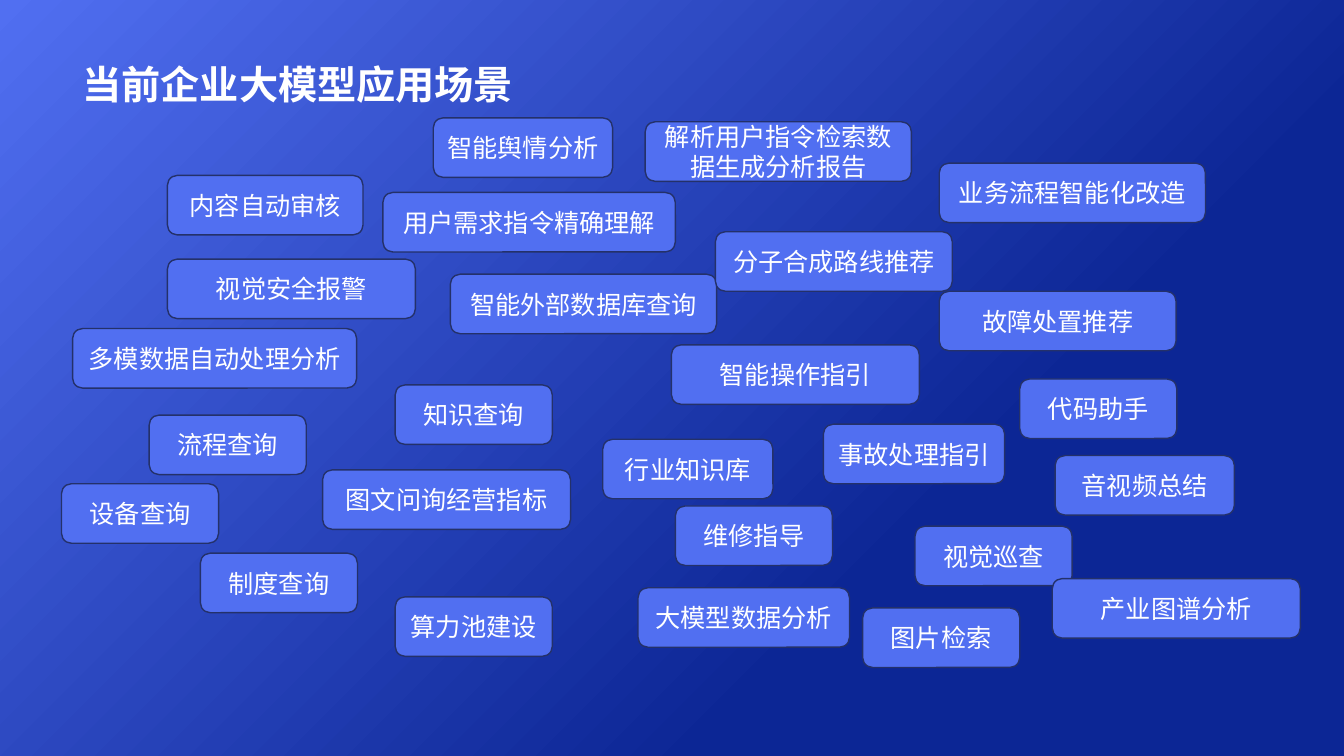
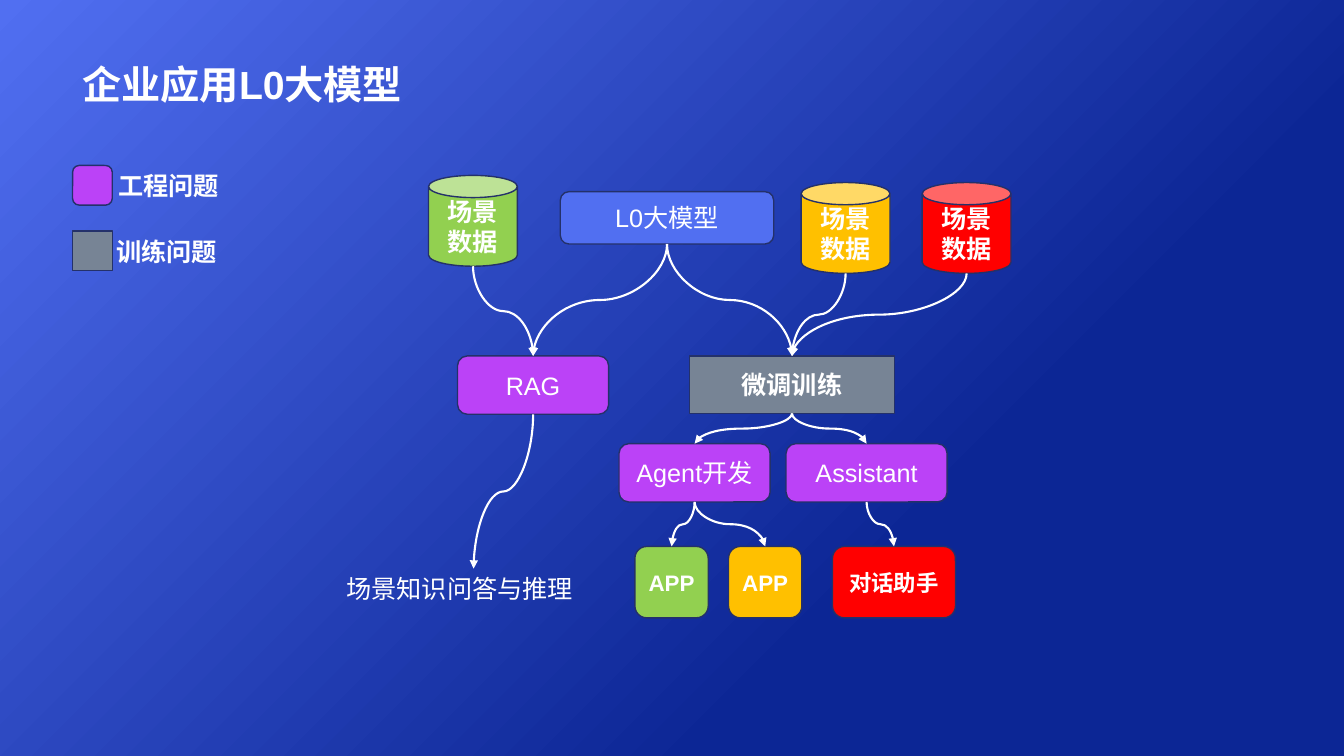
"""Build two slides on the use of large models in companies."""
from typing import NamedTuple

from lxml.etree import SubElement
from pptx import Presentation
from pptx.dml.color import RGBColor
from pptx.enum.shapes import MSO_CONNECTOR, MSO_SHAPE
from pptx.enum.text import MSO_ANCHOR, MSO_AUTO_SIZE, PP_ALIGN
from pptx.oxml.ns import qn
from pptx.presentation import Presentation as Deck
from pptx.shapes.autoshape import Shape
from pptx.slide import Slide
from pptx.util import Cm, Pt

WHITE = RGBColor(0xFF, 0xFF, 0xFF)
NAVY = RGBColor(0x0C, 0x26, 0x95)
BLUE = RGBColor(0x51, 0x6F, 0xF1)
OUTLINE = RGBColor(0x24, 0x31, 0x6A)
PURPLE = RGBColor(0xBB, 0x42, 0xF7)
GREY = RGBColor(0x77, 0x84, 0x95)
GREEN = RGBColor(0x92, 0xD0, 0x50)
AMBER = RGBColor(0xFF, 0xC0, 0x00)
RED = RGBColor(0xFF, 0x00, 0x00)

FONT = "Arial"
ROUND, RECT, CAN = MSO_SHAPE.ROUNDED_RECTANGLE, MSO_SHAPE.RECTANGLE, MSO_SHAPE.CAN
MARGIN = 1.83
SCENARIO_HEIGHT = 1.5


class Scenario(NamedTuple):
    text: str
    left: float
    top: float
    width: float = 3.96


class Node(NamedTuple):
    text: str
    left: float
    top: float
    width: float
    height: float
    fill: RGBColor
    kind: MSO_SHAPE = ROUND
    bold: bool = False
    size: int = 18


class Legend(NamedTuple):
    text: str
    top: float
    fill: RGBColor
    kind: MSO_SHAPE
    text_left: float


SCENARIOS = [
    Scenario("制度查询", 5.05, 13.94),
    Scenario("图文问询经营指标", 8.13, 11.84, 6.25),
    Scenario("算力池建设", 9.96, 15.04),
    Scenario("行业知识库", 15.19, 11.07, 4.29),
    Scenario("知识查询", 9.96, 9.7),
    Scenario("流程查询", 3.76, 10.46),
    Scenario("智能外部数据库查询", 11.35, 6.91, 6.71),
    Scenario("分子合成路线推荐", 18.03, 5.84, 5.97),
    Scenario("视觉安全报警", 4.22, 6.53, 6.25),
    Scenario("用户需求指令精确理解", 9.65, 4.85, 7.37),
    Scenario("解析用户指令检索数据生成分析报告", 16.26, 3.07, 6.71),
    Scenario("智能操作指引", 16.92, 8.69, 6.25),
    Scenario("维修指导", 17.02, 12.75),
    Scenario("事故处理指引", 20.75, 10.69, 4.57),
    Scenario("大模型数据分析", 16.08, 14.81, 5.33),
    Scenario("故障处置推荐", 23.67, 7.34, 5.97),
    Scenario("设备查询", 1.55, 12.19),
    Scenario("视觉巡查", 23.06, 13.26),
    Scenario("代码助手", 25.7, 9.55),
    Scenario("业务流程智能化改造", 23.67, 4.11, 6.71),
    Scenario("多模数据自动处理分析", MARGIN, 8.28, 7.16),
    Scenario("内容自动审核", 4.22, 4.42, 4.93),
    Scenario("智能舆情分析", 10.92, 2.97, 4.52),
    Scenario("音视频总结", 26.59, 11.48, 4.52),
    Scenario("图片检索", 21.74, 15.32),
    Scenario("产业图谱分析", 26.52, 14.58, 6.25),
]

NODES = {
    "model": Node("L0大模型", 14.12, 4.83, 5.38, 1.32, BLUE),
    "green data": Node("场景数据", 10.8, 4.42, 2.24, 2.29, GREEN, CAN, True),
    "amber data": Node("场景数据", 20.19, 4.6, 2.24, 2.29, AMBER, CAN, True),
    "red data": Node("场景数据", 23.24, 4.6, 2.24, 2.29, RED, CAN, True),
    "rag": Node("RAG", 11.53, 8.97, 3.81, 1.47, PURPLE),
    "tuning": Node("微调训练", 17.37, 8.97, 5.18, 1.45, GREY, RECT, True),
    "agent": Node("Agent开发", 15.6, 11.18, 3.81, 1.47, PURPLE),
    "assistant": Node("Assistant", 19.81, 11.18, 4.06, 1.47, PURPLE),
    "green app": Node("APP", 16, 13.77, 1.85, 1.8, GREEN, ROUND, True, 16),
    "amber app": Node("APP", 18.36, 13.77, 1.85, 1.8, AMBER, ROUND, True, 16),
    "chat": Node("对话助手", 20.98, 13.77, 3.1, 1.8, RED, ROUND, True, 16),
}

LINKS = [
    ("model", "rag"), ("model", "tuning"), ("green data", "rag"),
    ("amber data", "tuning"), ("red data", "tuning"),
    ("tuning", "agent"), ("tuning", "assistant"),
    ("agent", "green app"), ("agent", "amber app"),
    ("assistant", "chat"), ("rag", "answer"),
]

LEGENDS = [
    Legend("工程问题", 4.17, PURPLE, ROUND, 2.34),
    Legend("训练问题", 5.82, GREY, RECT, 2.29),
]


def set_text(sp: Shape, text: str, size: int = 18, bold: bool = False,
             align: PP_ALIGN = PP_ALIGN.CENTER) -> None:
    tf = sp.text_frame
    tf.word_wrap = True
    tf.text = text
    p = tf.paragraphs[0]
    p.alignment = align
    for r in p.runs:
        r.font.name = FONT
        r.font.size = Pt(size)
        r.font.bold = bold
        r.font.color.rgb = WHITE


def add_node(s: Slide, node: Node) -> Shape:
    sp = s.shapes.add_shape(node.kind, Cm(node.left), Cm(node.top),
                            Cm(node.width), Cm(node.height))
    sp.shadow.inherit = False
    sp.fill.solid()
    sp.fill.fore_color.rgb = node.fill
    sp.line.color.rgb = OUTLINE
    sp.line.width = Pt(1)
    sp.text_frame.vertical_anchor = MSO_ANCHOR.MIDDLE
    if node.text:
        set_text(sp, node.text, node.size, node.bold)
    return sp


def add_label(s: Slide, text: str, left: float, top: float, width: float,
              bold: bool = False, align: PP_ALIGN = PP_ALIGN.CENTER) -> Shape:
    sp = s.shapes.add_textbox(Cm(left), Cm(top), Cm(width), Cm(1.02))
    set_text(sp, text, bold=bold, align=align)
    sp.text_frame.auto_size = MSO_AUTO_SIZE.SHAPE_TO_FIT_TEXT
    return sp


def add_curve(s: Slide, upper: Shape, lower: Shape) -> None:
    x1, y1 = upper.left + upper.width // 2, upper.top + upper.height
    x2, y2 = lower.left + lower.width // 2, lower.top
    c = s.shapes.add_connector(MSO_CONNECTOR.CURVE, x1, y1, x2, y2)
    is_can = upper.name.startswith("Can")
    c.begin_connect(upper, 3 if is_can else 2)
    c.end_connect(lower, 0)
    xfrm = c._element.spPr.find(qn("a:xfrm"))
    xfrm.attrib.clear()
    if x2 < x1:
        xfrm.set("rot", "5400000")
    else:
        xfrm.set("rot", "16200000")
        xfrm.set("flipH", "1")
    c.width, c.height = y2 - y1, abs(x2 - x1)
    c.left = (x1 + x2 - c.width) // 2
    c.top = (y1 + y2 - c.height) // 2
    c.line.color.rgb = WHITE
    c.line.width = Pt(1.5)
    SubElement(c.line._get_or_add_ln(), qn("a:tailEnd"), type="triangle")
    SubElement(c._element.spPr, qn("a:effectLst"))


def set_background(prs: Deck) -> None:
    fill = prs.slide_master.background.fill
    fill.gradient()
    fill.gradient_angle = 135
    for stop, position, color in zip(fill.gradient_stops, (0.31, 1), (NAVY, BLUE)):
        stop.position = position
        stop.color.rgb = color


def add_slide(prs: Deck, title: str) -> Slide:
    s = prs.slides.add_slide(prs.slide_layouts[6])
    sp = s.shapes.add_textbox(Cm(MARGIN), Cm(0.36), Cm(30.18), Cm(2.49))
    set_text(sp, title, 28, True, PP_ALIGN.LEFT)
    sp.text_frame.vertical_anchor = MSO_ANCHOR.BOTTOM
    sp.text_frame.paragraphs[0].line_spacing = 0.9
    return s


def build_scenarios(prs: Deck) -> None:
    s = add_slide(prs, "当前企业大模型应用场景")
    for item in SCENARIOS:
        add_node(s, Node(*item, SCENARIO_HEIGHT, BLUE))


def build_architecture(prs: Deck) -> None:
    s = add_slide(prs, "企业应用L0大模型")
    shapes = {key: add_node(s, node) for key, node in NODES.items()}
    shapes["answer"] = add_label(s, "场景知识问答与推理", 8.48, 14.33, 6.91,
                                 align=PP_ALIGN.LEFT)
    for upper, lower in LINKS:
        add_curve(s, shapes[upper], shapes[lower])
    for item in LEGENDS:
        add_node(s, Node("", MARGIN, item.top, 1, 1, item.fill, item.kind))
        add_label(s, item.text, item.text_left, item.top, 3.81, True)


def main() -> None:
    prs = Presentation()
    prs.slide_width, prs.slide_height = Cm(33.87), Cm(19.05)
    set_background(prs)
    build_scenarios(prs)
    build_architecture(prs)
    prs.save("out.pptx")


if __name__ == "__main__":
    main()
